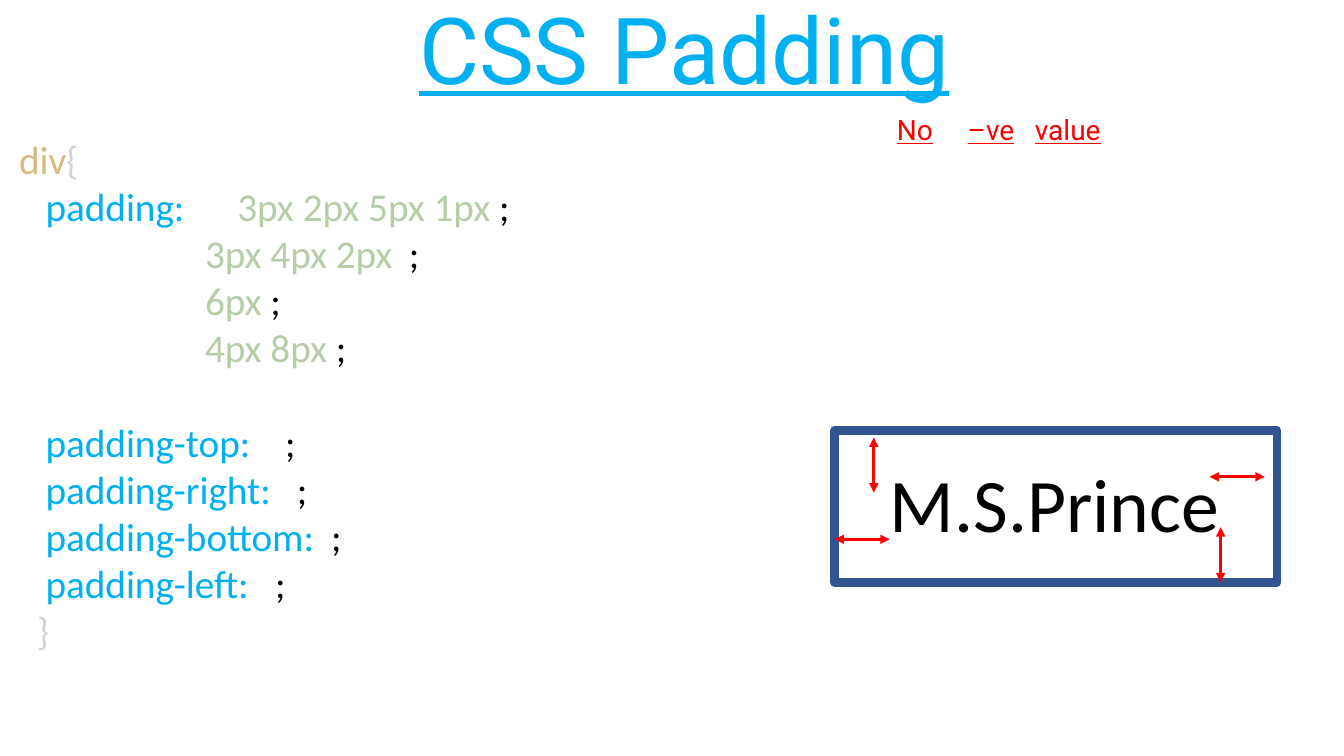
from typing import NamedTuple

import lxml.etree
import pptx
import pptx.dml.color
import pptx.enum.shapes
import pptx.enum.text
import pptx.oxml.ns
import pptx.util

Pt = pptx.util.Pt
qn = pptx.oxml.ns.qn

BLUE = "00B0F0"
RED = "FF0000"
BLACK = "000000"
GOLD = "D7BA7D"
GREEN = "B5CEA8"
GREY = "D4D4D4"
ARROW_LENGTH = 39.4
BRACE_INDENT = 12.7
PROPERTY_INDENT = 19
VALUE_INDENT = 132.9


class Piece(NamedTuple):
    text: str
    color: str


class Line(NamedTuple):
    pieces: list[Piece]
    stops: tuple[float, ...] = ()
    space_before: float = 0


class Label(NamedTuple):
    left: float
    top: float
    width: float
    height: float
    font: str
    size: float
    lines: list[Line]
    underline: bool = False


class Arrow(NamedTuple):
    left: float
    top: float
    vertical: bool


def rgb(value: str) -> pptx.dml.color.RGBColor:
    return pptx.dml.color.RGBColor.from_string(value)


def value_line(values: str, ending: str, *stops: float) -> Line:
    return Line([Piece(f"\t{values}", GREEN), Piece(ending, BLACK)], (VALUE_INDENT, *stops))


def side_line(side: str, semicolon: float, space_before: float = 0) -> Line:
    pieces = [Piece(f"\tpadding-{side}:", BLUE), Piece("\t;", BLACK)]
    return Line(pieces, (PROPERTY_INDENT, semicolon), space_before)


def draw_label(slide, label: Label) -> None:
    box = slide.shapes.add_textbox(
        Pt(label.left), Pt(label.top), Pt(label.width), Pt(label.height)
    )
    frame = box.text_frame
    frame.word_wrap = True
    frame.auto_size = pptx.enum.text.MSO_AUTO_SIZE.SHAPE_TO_FIT_TEXT
    for index, line in enumerate(label.lines):
        paragraph = frame.add_paragraph() if index else frame.paragraphs[0]
        if line.space_before:
            paragraph.space_before = Pt(line.space_before)
        if line.stops:
            properties = paragraph._p.get_or_add_pPr()
            tabs = lxml.etree.SubElement(properties, qn("a:tabLst"))
            for stop in line.stops:
                lxml.etree.SubElement(tabs, qn("a:tab"), pos=str(int(Pt(stop))), algn="l")
        for piece in line.pieces:
            run = paragraph.add_run()
            run.text = piece.text
            run.font.name = label.font
            run.font.size = Pt(label.size)
            run.font.color.rgb = rgb(piece.color)
            if label.underline:
                run.font.underline = True


def draw_border(slide) -> None:
    border = slide.shapes.add_shape(
        pptx.enum.shapes.MSO_SHAPE.RECTANGLE, Pt(596.2), Pt(307.4), Pt(316.1), Pt(108.7)
    )
    border.shadow.inherit = False
    border.fill.background()
    border.line.color.rgb = rgb("325491")
    border.line.width = Pt(6)


def draw_arrow(slide, arrow: Arrow) -> None:
    right = arrow.left + (0 if arrow.vertical else ARROW_LENGTH)
    bottom = arrow.top + (ARROW_LENGTH if arrow.vertical else 0)
    connector = slide.shapes.add_connector(
        pptx.enum.shapes.MSO_CONNECTOR.STRAIGHT,
        Pt(arrow.left), Pt(arrow.top), Pt(right), Pt(bottom),
    )
    connector.line.color.rgb = rgb(RED)
    connector.line.width = Pt(2.25)
    outline = connector.line._get_or_add_ln()
    for end in ("a:headEnd", "a:tailEnd"):
        lxml.etree.SubElement(outline, qn(end), type="triangle")
    lxml.etree.SubElement(connector._element.spPr, qn("a:effectLst"))


TITLE = Label(292.3, -9.4, 442, 87.1, "Roboto", 66, [Line([Piece("CSS Padding", BLUE)])], True)
CODE = Label(6.5, 92.9, 1037.5, 380.2, "Calibri", 28, [
    Line([Piece("div", GOLD), Piece("{", GREY)]),
    Line(
        [Piece("\tpadding:", BLUE), Piece("\t3px 2px 5px 1px", GREEN), Piece(" ;", BLACK)],
        (PROPERTY_INDENT, 156),
    ),
    value_line("3px 4px 2px", "\t;", 278.5),
    value_line("6px", " ;"),
    value_line("4px 8px", " ;"),
    side_line("top", 190, 34),
    side_line("right", 198.5),
    side_line("bottom", 222.9),
    side_line("left", 182.9),
    Line([Piece("\t}", GREY)], (BRACE_INDENT,)),
])
NOTE = Label(633.6, 77, 442, 31.7, "Roboto", 20, [
    Line([Piece("No\t–ve\tvalue", RED)], (50.5, 98.5)),
], True)
NAME = Label(628.6, 322.6, 283.7, 72.7, "Calibri", 54, [Line([Piece("M.S.Prince", BLACK)])])
PADDING_ARROWS = [
    Arrow(624.2, 312.5, True),
    Arrow(596.2, 385.2, False),
    Arrow(871.9, 376.6, True),
    Arrow(864, 340.6, False),
]


def main() -> None:
    presentation = pptx.Presentation()
    presentation.slide_width = Pt(960)
    presentation.slide_height = Pt(540)
    slide = presentation.slides.add_slide(presentation.slide_layouts[6])
    for label in (TITLE, CODE, NOTE):
        draw_label(slide, label)
    draw_border(slide)
    draw_label(slide, NAME)
    for arrow in PADDING_ARROWS:
        draw_arrow(slide, arrow)
    presentation.save("out.pptx")


if __name__ == "__main__":
    main()
